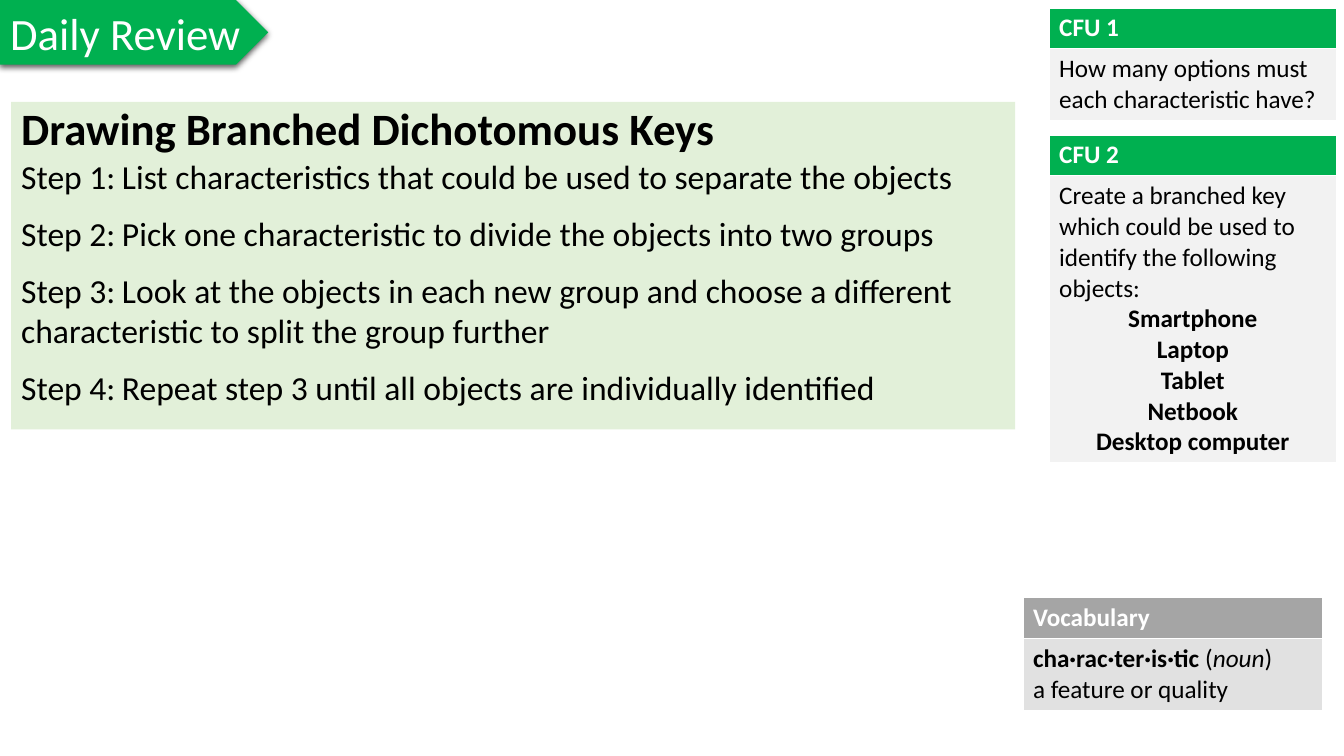
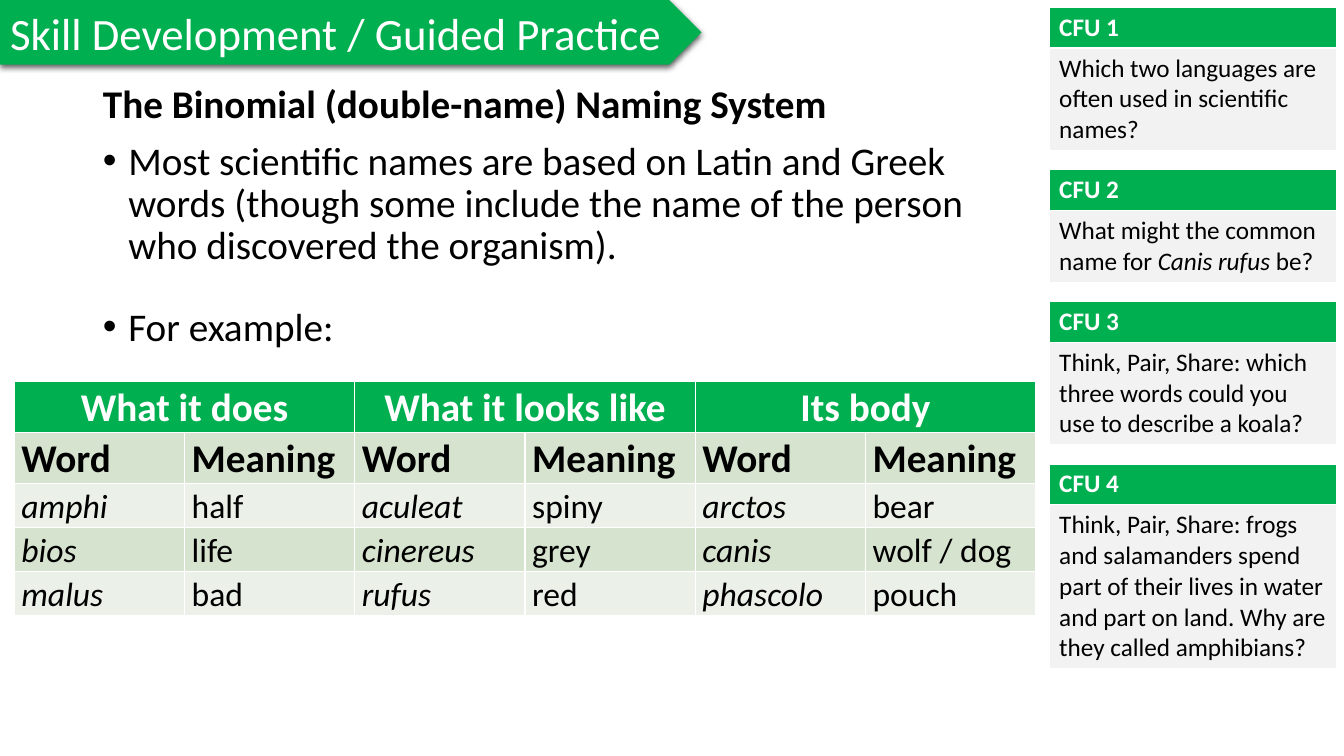
"""Build two lesson slides with a title arrow, main content and side cards."""
import lxml.etree
import pptx
import pptx.dml.color
import pptx.enum.shapes
import pptx.enum.text
import pptx.oxml.ns
import pptx.util

Cm = pptx.util.Cm
Pt = pptx.util.Pt
qn = pptx.oxml.ns.qn
ALIGN = pptx.enum.text.PP_ALIGN

FONT = "Calibri"
COLORS = {
    "text": "000000", "white": "FFFFFF", "green": "00B050", "panel": "E2F0D9",
    "card": "F2F2F2", "grey": "A5A5A5", "light grey": "E1E1E1",
    "dark band": "D5E3CF", "light band": "EBF1E9",
}
CARD_LEFT, CARD_WIDTH = 26.44, 7.24
CARD_HEAD, CARD_LINE, CARD_PAD = 1.0, 0.775, 0.25


def rgb(name):
    """Return the named colour."""
    return pptx.dml.color.RGBColor.from_string(COLORS[name])


def paint(obj, name):
    """Give a shape or cell a solid fill."""
    obj.fill.solid()
    obj.fill.fore_color.rgb = rgb(name)


def place(sp, left, top, width, height):
    """Position a shape by lengths in centimetres."""
    sp.left, sp.top, sp.width, sp.height = map(Cm, (left, top, width, height))


def next_paragraph(tf):
    """Return the empty first paragraph or a new one."""
    p = tf.paragraphs[-1]
    return tf.add_paragraph() if p.runs else p


def write(p, text, size=18, color="text", bold=False, italic=False, **layout):
    """Add a run to a paragraph and set the paragraph's layout."""
    r = p.add_run()
    r.text = text
    r.font.name, r.font.size = FONT, Pt(size)
    r.font.bold, r.font.italic = bold, italic
    r.font.color.rgb = rgb(color)
    for key, value in layout.items():
        setattr(p, key, value)


def set_list(p, bullet=None, indent=0, tab=None):
    """Set a paragraph's bullet, hanging indent and tab stop."""
    pPr = p._p.get_or_add_pPr()
    pPr.set("marL", str(Cm(indent)))
    pPr.set("indent", str(-Cm(indent)))
    if bullet:
        lxml.etree.SubElement(pPr, qn("a:buChar"), char=bullet)
    else:
        lxml.etree.SubElement(pPr, qn("a:buNone"))
    if tab:
        tabs = lxml.etree.SubElement(pPr, qn("a:tabLst"))
        lxml.etree.SubElement(tabs, qn("a:tab"), pos=str(Cm(tab)), algn="l")


def add_shadow(sp):
    """Give a shape a soft shadow below it."""
    sp.shadow.inherit = False
    effects = sp.element.spPr.find(qn("a:effectLst"))
    shadow = lxml.etree.SubElement(
        effects, qn("a:outerShdw"), blurRad=str(Pt(4.5)), dist=str(Pt(1.5)),
        dir="5400000", algn="t", rotWithShape="0")
    color = lxml.etree.SubElement(shadow, qn("a:srgbClr"), val=COLORS["text"])
    lxml.etree.SubElement(color, qn("a:alpha"), val="63000")


def add_slide(prs, title, width):
    """Add a slide with its title on a green arrow."""
    s = prs.slides.add_slide(prs.slide_layouts[1])
    box = (0, 0, width, 1.63)
    arrow = s.shapes.add_shape(
        pptx.enum.shapes.MSO_SHAPE.PENTAGON, *map(Cm, box))
    paint(arrow, "green")
    arrow.line.fill.background()
    add_shadow(arrow)
    sp = s.shapes.title
    sp.element.addprevious(arrow.element)
    place(sp, *box)
    tf = sp.text_frame
    tf.word_wrap = False
    tf.auto_size = pptx.enum.text.MSO_AUTO_SIZE.NONE
    tf.vertical_anchor = pptx.enum.text.MSO_ANCHOR.MIDDLE
    write(tf.paragraphs[0], title, 32, "white", alignment=ALIGN.LEFT)
    return s


def place_body(s, *box):
    """Position the body placeholder and return it."""
    sp = s.placeholders[1]
    place(sp, *box)
    sp.text_frame.word_wrap = True
    sp.text_frame.auto_size = pptx.enum.text.MSO_AUTO_SIZE.NONE
    return sp


def add_heading(tf, text, size):
    """Write the bold heading of a body placeholder."""
    p = next_paragraph(tf)
    set_list(p)
    write(p, text, size, bold=True, line_spacing=0.9, space_before=Pt(0))


def add_grid(s, left, top, widths, heights):
    """Add an unbanded table with the given columns and rows."""
    t = s.shapes.add_table(
        len(heights), len(widths), Cm(left), Cm(top),
        Cm(sum(widths)), Cm(sum(heights))).table
    t.horz_banding = False
    for column, width in zip(t.columns, widths):
        column.width = Cm(width)
    for row, height in zip(t.rows, heights):
        row.height = Cm(height)
    return t


def add_card(s, top, heading, lines, paragraphs, left=CARD_LEFT,
             width=CARD_WIDTH, head_fill="green", body_fill="card"):
    """Add a heading-over-text card and return its height."""
    heights = [CARD_HEAD, CARD_PAD + lines * CARD_LINE]
    t = add_grid(s, left, top, [width], heights)
    head, body = t.cell(0, 0), t.cell(1, 0)
    paint(head, head_fill)
    paint(body, body_fill)
    write(head.text_frame.paragraphs[0], heading, color="white", bold=True)
    for runs in paragraphs:
        p = next_paragraph(body.text_frame)
        for text, fmt in runs:
            write(p, text, **fmt)
    return sum(heights)


def stack_cards(s, top, gap, cards):
    """Stack numbered question cards down the right side."""
    for number, (lines, paragraphs) in enumerate(cards, 1):
        top += add_card(s, top, f"CFU {number}", lines, paragraphs) + gap


def add_word_table(s, left, top, groups, rows):
    """Add a table of word and meaning pairs under group headings."""
    t = add_grid(s, left, top, [4.29] * 6, [1.29] * 2 + [1.1] * len(rows))
    for i, group in enumerate(groups):
        t.cell(0, 2 * i).merge(t.cell(0, 2 * i + 1))
    heads = [text for group in groups for text in (group, "")]
    for i, row in enumerate([heads, ["Word", "Meaning"] * 3, *rows]):
        for j, text in enumerate(row):
            cell = t.cell(i, j)
            paint(cell, "green" if i == 0 else
                  "dark band" if i % 2 else "light band")
            cell.margin_left = cell.margin_right = Cm(0.18)
            cell.margin_top = cell.margin_bottom = 0
            if text:
                write(cell.text_frame.paragraphs[0], text,
                      size=28 if i < 2 else 24,
                      color="text" if i else "white", bold=i < 2,
                      italic=i > 1 and j % 2 == 0, line_spacing=1.07,
                      alignment=ALIGN.LEFT if i else ALIGN.CENTER)


def build_review(prs):
    """Build the review of dichotomous keys."""
    s = add_slide(prs, "Daily Review", 6.76)
    sp = place_body(s, 0.28, 2.57, 25.3, 8.25)
    paint(sp, "panel")
    tf = sp.text_frame
    add_heading(tf, "Drawing Branched Dichotomous Keys", 32)
    steps = [
        "List characteristics that could be used to separate the objects",
        "Pick one characteristic to divide the objects into two groups",
        "Look at the objects in each new group and choose a different "
        "characteristic to split the group further",
        "Repeat step 3 until all objects are individually identified",
    ]
    for number, step in enumerate(steps, 1):
        p = next_paragraph(tf)
        set_list(p, tab=2.77)
        write(p, f"Step {number}:\t{step}", 24,
              space_before=Pt(0), space_after=Pt(12))
    devices = ["Smartphone", "Laptop", "Tablet", "Netbook", "Desktop computer"]
    centred = {"bold": True, "alignment": ALIGN.CENTER}
    stack_cards(s, 0.2, 0.4, [
        (2, [[("How many options must each characteristic have?", {})]]),
        (9, [[("Create a branched key which could be used to identify the "
               "following objects:", {})]]
         + [[(device, centred)] for device in devices]),
    ])
    add_card(s, 15.06, "Vocabulary", 2, [
        [("cha·rac·ter·is·tic ", {"bold": True}), ("(", {}),
         ("noun", {"italic": True}), (")", {})],
        [("a feature or quality", {})],
    ], left=25.78, width=7.54, head_fill="grey", body_fill="light grey")


def build_naming(prs):
    """Build the slide on binomial names."""
    s = add_slide(prs, "Skill Development / Guided Practice", 17.68)
    tf = place_body(s, 2.34, 2.01, 23.77, 7.2).text_frame
    add_heading(tf, "The Binomial (double-name) Naming System", 28)
    bullets = [
        ("Most scientific names are based on Latin and Greek words (though "
         "some include the name of the person who discovered the organism).",
         10),
        ("For example:", 28),
    ]
    for text, gap in bullets:
        p = next_paragraph(tf)
        set_list(p, "•", 0.64)
        write(p, text, 28, line_spacing=0.9, space_before=Pt(gap))
    add_word_table(
        s, 0.36, 9.6, ["What it does", "What it looks like", "Its body"], [
            ["amphi", "half", "aculeat", "spiny", "arctos", "bear"],
            ["bios", "life", "cinereus", "grey", "canis", "wolf / dog"],
            ["malus", "bad", "rufus", "red", "phascolo", "pouch"],
        ])
    stack_cards(s, 0.18, 0.52, [
        (3, [[("Which two languages are often used in scientific names?",
               {})]]),
        (2, [[("What might the common name for ", {}),
              ("Canis rufus", {"italic": True}), (" be?", {})]]),
        (3, [[("Think, Pair, Share: which three words could you use to "
               "describe a koala?", {})]]),
        (5, [[("Think, Pair, Share: frogs and salamanders spend part of "
               "their lives in water and part on land. Why are they called "
               "amphibians?", {})]]),
    ])


def main():
    """Build and save the slides."""
    prs = pptx.Presentation()
    prs.slide_width, prs.slide_height = Cm(33.87), Cm(19.05)
    build_review(prs)
    build_naming(prs)
    prs.save("out.pptx")


if __name__ == "__main__":
    main()
